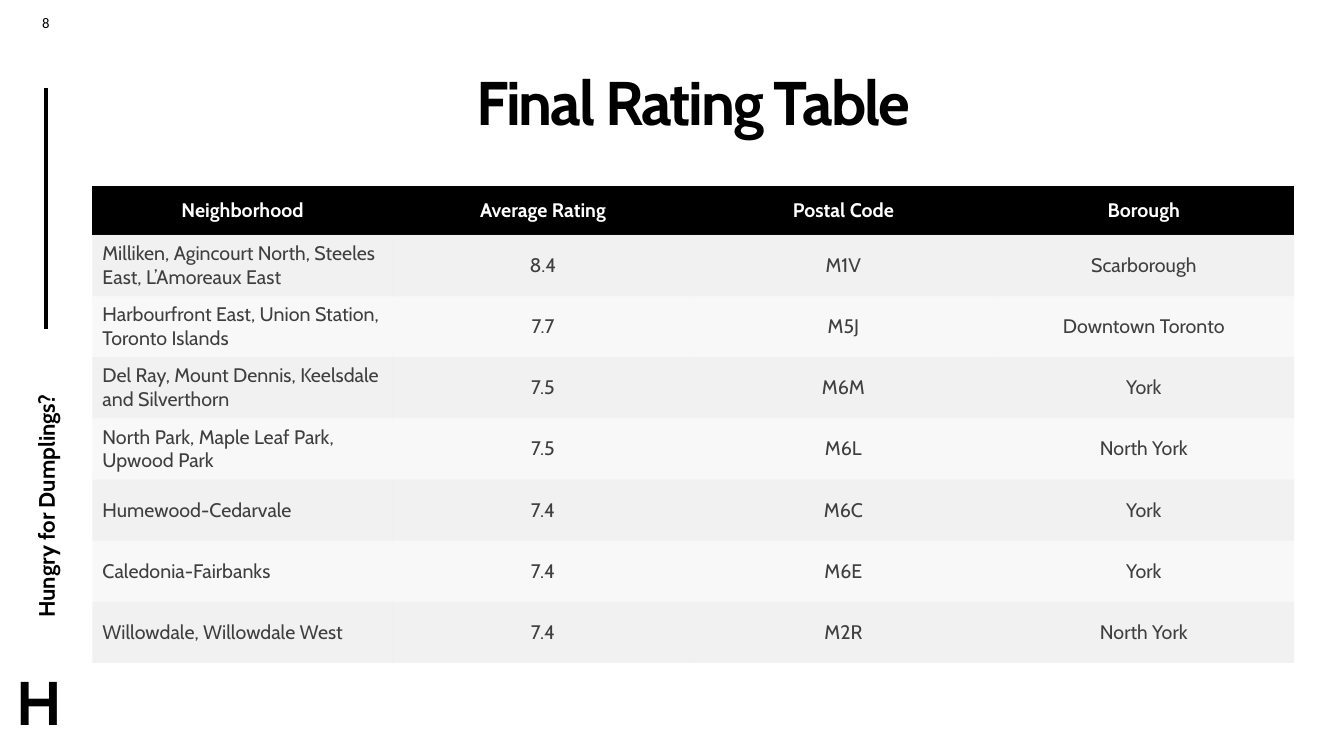
from lxml.etree import SubElement
from pptx import Presentation
from pptx.dml.color import RGBColor
from pptx.enum.shapes import MSO_CONNECTOR
from pptx.enum.text import MSO_ANCHOR, MSO_AUTO_SIZE, PP_ALIGN
from pptx.oxml.ns import qn
from pptx.util import Pt

COLORS = {"ink": "000000", "paper": "FFFFFF", "body": "3F3F3F", "band": "DDDDDD"}
NO_STYLE = "{2D5ABB26-0587-4C30-8999-92F81FD0307C}"

HEADER = ("Neighborhood", "Average Rating", "Postal Code", "Borough")
RATINGS = [
    ("Milliken, Agincourt North, Steeles East, L’Amoreaux East", "8.4", "M1V", "Scarborough"),
    ("Harbourfront East, Union Station, Toronto Islands", "7.7", "M5J", "Downtown Toronto"),
    ("Del Ray, Mount Dennis, Keelsdale and Silverthorn", "7.5", "M6M", "York"),
    ("North Park, Maple Leaf Park, Upwood Park", "7.5", "M6L", "North York"),
    ("Humewood-Cedarvale", "7.4", "M6C", "York"),
    ("Caledonia-Fairbanks", "7.4", "M6E", "York"),
    ("Willowdale, Willowdale West", "7.4", "M2R", "North York"),
]


class SlideBuilder:
    """Holds the current slide and its text style."""

    def __init__(self, slide, font="Cabin"):
        self.slide = slide
        self.font = font

    def color(self, name):
        return RGBColor.from_string(COLORS[name])

    def run(self, tf, text, size, color="ink", bold=True, align=PP_ALIGN.LEFT, font=None):
        p = tf.paragraphs[0]
        p.alignment = align
        r = p.add_run()
        r.text = text
        r.font.name = font or self.font
        r.font.size = Pt(size)
        r.font.bold = bold
        r.font.color.rgb = self.color(color)
        return r

    def title(self, text, left, top, width, height):
        sp = self.slide.shapes.title
        sp.left, sp.top, sp.width, sp.height = Pt(left), Pt(top), Pt(width), Pt(height)
        tf = sp.text_frame
        tf.word_wrap = True
        tf.auto_size = MSO_AUTO_SIZE.NONE
        tf.vertical_anchor = MSO_ANCHOR.BOTTOM
        r = self.run(tf, text, 44, align=PP_ALIGN.CENTER)
        r.font._element.set("spc", "-150")
        tf.paragraphs[0].line_spacing = 0.9

    def text_box(self, left, top, width, height):
        return self.slide.shapes.add_textbox(Pt(left), Pt(top), Pt(width), Pt(height))

    def label(self, text, size, left, top, width, height, rotation=0):
        """Adds a bold one-line text whose box fits it closely."""
        sp = self.text_box(left, top, width, height)
        sp.rotation = rotation
        tf = sp.text_frame
        tf.word_wrap = False
        tf.auto_size = MSO_AUTO_SIZE.SHAPE_TO_FIT_TEXT
        tf.vertical_anchor = MSO_ANCHOR.MIDDLE
        tf.margin_left = tf.margin_top = tf.margin_right = tf.margin_bottom = Pt(1.5)
        self.run(tf, text, size)

    def page_number(self, text, left, top, width, height):
        tf = self.text_box(left, top, width, height).text_frame
        tf.word_wrap = True
        self.run(tf, text, 10.5, bold=False, align=PP_ALIGN.CENTER, font="Calibri")

    def line(self, x1, y1, x2, y2, weight):
        cn = self.slide.shapes.add_connector(
            MSO_CONNECTOR.STRAIGHT, Pt(x1), Pt(y1), Pt(x2), Pt(y2))
        cn.line.color.rgb = self.color("ink")
        cn.line.width = Pt(weight)
        SubElement(cn._element.spPr, qn("a:effectLst"))

    def cell(self, cell, text, color, fill, opacity, bold, align):
        cell.vertical_anchor = MSO_ANCHOR.MIDDLE
        cell.fill.solid()
        cell.fill.fore_color.rgb = self.color(fill)
        if opacity < 100:
            srgb = cell._tc.tcPr.find(".//" + qn("a:srgbClr"))
            SubElement(srgb, qn("a:alpha")).set("val", str(opacity * 1000))
        self.run(cell.text_frame, text, 14, color, bold, align)

    def table(self, header, rows, left, top, width, header_height, row_height):
        height = header_height + row_height * len(rows)
        frame = self.slide.shapes.add_table(
            len(rows) + 1, len(header), Pt(left), Pt(top), Pt(width), Pt(height))
        table = frame.table
        table.horz_banding = False
        table._tbl.tblPr.find(qn("a:tableStyleId")).text = NO_STYLE
        for column in table.columns:
            column.width = Pt(width / len(header))
        for i, texts in enumerate([header, *rows]):
            table.rows[i].height = Pt(row_height if i else header_height)
            for j, text in enumerate(texts):
                align = PP_ALIGN.LEFT if i and j == 0 else PP_ALIGN.CENTER
                if i == 0:
                    style = ("paper", "ink", 100, True)
                else:
                    style = ("body", "band", 40 if i % 2 else 20, False)
                self.cell(table.cell(i, j), text, *style, align)


def main():
    prs = Presentation()
    prs.slide_width, prs.slide_height = Pt(960), Pt(540)
    s = SlideBuilder(prs.slides.add_slide(prs.slide_layouts[5]))
    s.label("Hungry for Dumplings?", 16, -56, 342.7, 177.6, 22.4, rotation=270)
    s.line(33, 235, 33, 63, 3)
    s.page_number("8", 12.3, 6, 41, 19.5)
    s.label("H", 44, 10, 472.3, 40.3, 56.2)
    s.title("Final Rating Table", 66, -4.3, 858.4, 107.3)
    s.table(HEADER, RATINGS, 66, 133, 858.4, 34.8, 43.7)
    prs.save("out.pptx")


if __name__ == "__main__":
    main()
